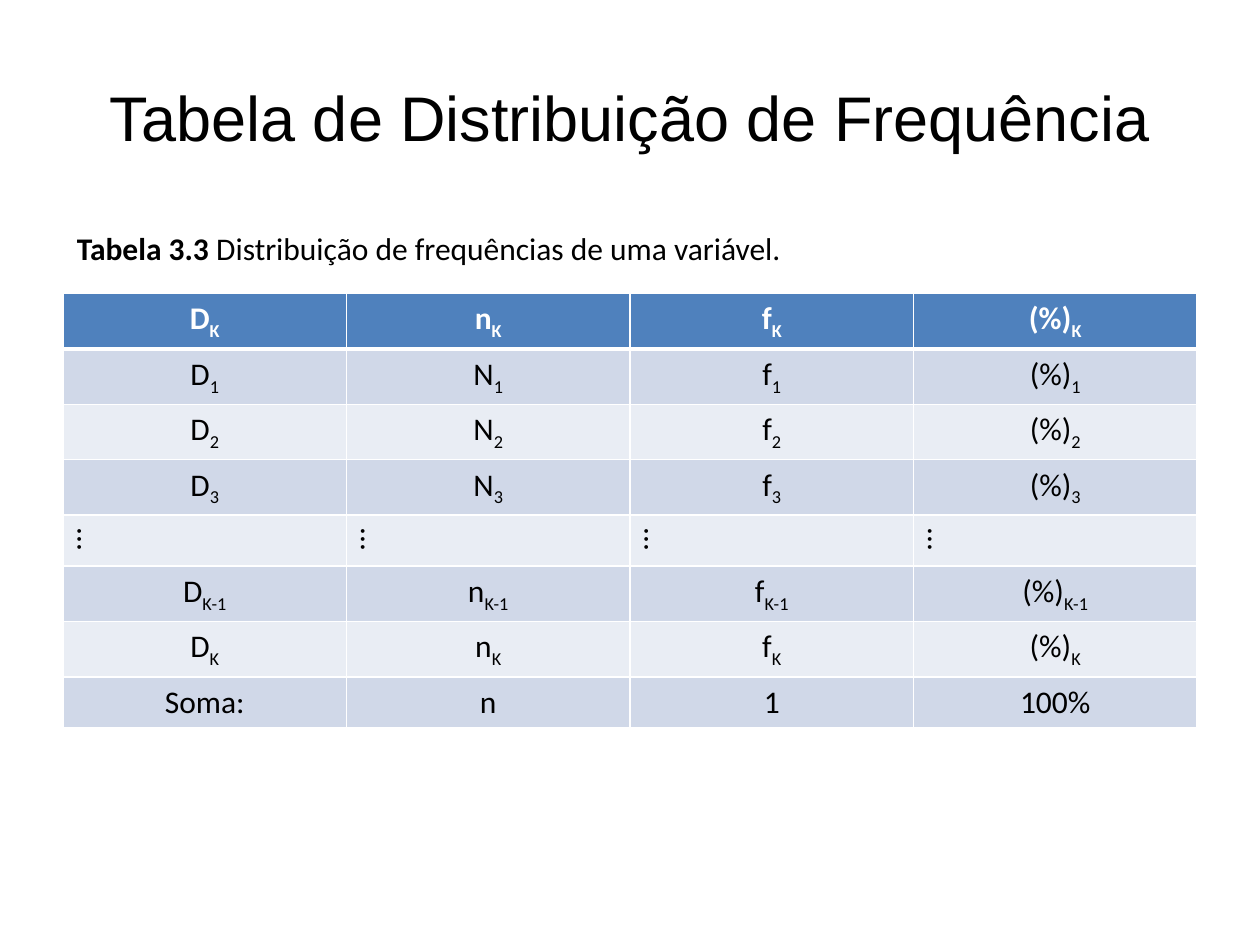
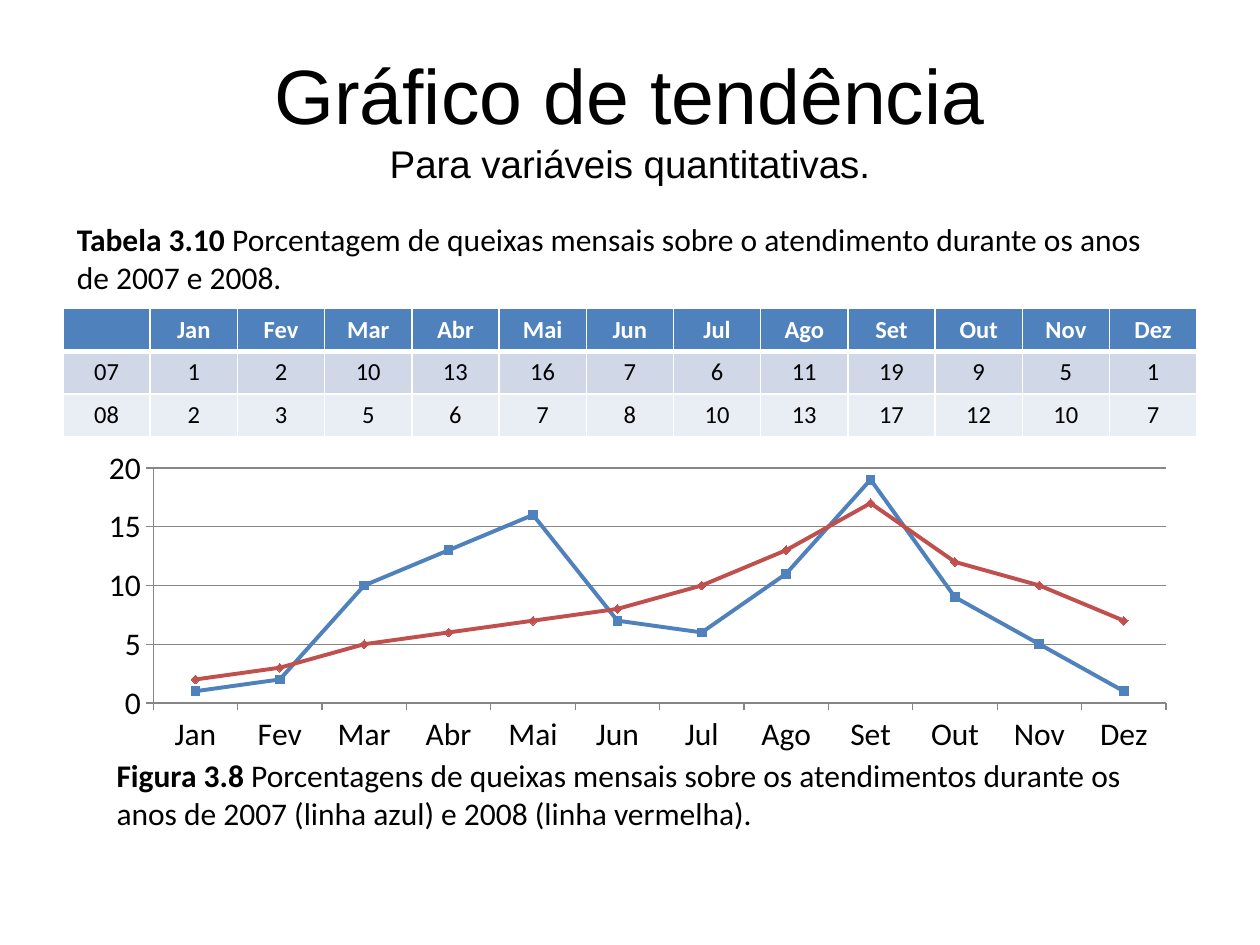
from lxml import etree
from pptx import Presentation
from pptx.chart.data import CategoryChartData
from pptx.dml.color import RGBColor
from pptx.enum.chart import XL_CHART_TYPE as CHART, XL_MARKER_STYLE as MARKER, XL_TICK_MARK as TICK
from pptx.enum.text import MSO_ANCHOR as ANCHOR, PP_ALIGN as ALIGN
from pptx.oxml.ns import qn
from pptx.util import Cm, Pt

BLACK = RGBColor(0x00, 0x00, 0x00)
WHITE = RGBColor(0xFF, 0xFF, 0xFF)
BLUE = RGBColor(0x4F, 0x81, 0xBD)
RED = RGBColor(0xC0, 0x50, 0x4D)
GRAY = RGBColor(0x86, 0x86, 0x86)
BANDS = [RGBColor(0xE9, 0xED, 0xF4), RGBColor(0xD0, 0xD8, 0xE8)]

TITLE = {"name": "Arial", "size": Pt(44)}
BODY = {"name": "Calibri", "size": Pt(18), "bold": False}
LABEL = BODY | {"bold": True}
TITLE_BOX = (1.27, 0.76, 22.86, 3.18)
LEFT, WIDTH = 1.27, 22.86


def add_run(p, text, fmt, color=BLACK):
    r = p.add_run()
    r.text = text
    for key, value in fmt.items():
        setattr(r.font, key, value)
    r.font.color.rgb = color
    return r


def add_grid(s, top, row_height, rows, size):
    """Add a banded table; "_" in a cell starts a subscript and "..." runs vertically."""
    n_rows, n_cols = len(rows), len(rows[0])
    table = s.shapes.add_table(n_rows, n_cols, Cm(LEFT), Cm(top), Cm(WIDTH),
                               Cm(row_height * n_rows)).table
    table.first_row = table.horz_banding = False
    for col in table.columns:
        col.width = Cm(WIDTH / n_cols)
    for i, row in enumerate(rows):
        header = i == 0
        fmt = BODY | {"size": size, "bold": header}
        for j, text in enumerate(row):
            cell = table.cell(i, j)
            tcPr = cell._tc.get_or_add_tcPr()
            for side in ("L", "R", "T", "B"):
                heavy = (header and side == "B") or (i == 1 and side == "T")
                ln = etree.SubElement(tcPr, qn(f"a:ln{side}"), w=str(Pt(3 if heavy else 1)))
                fill = etree.SubElement(ln, qn("a:solidFill"))
                etree.SubElement(fill, qn("a:srgbClr"), val=str(WHITE))
            cell.fill.solid()
            cell.fill.fore_color.rgb = BLUE if header else BANDS[i % 2]
            p = cell.text_frame.paragraphs[0]
            if text == "...":
                tcPr.set("vert", "vert")
                cell.vertical_anchor = ANCHOR.MIDDLE
            else:
                p.alignment = ALIGN.CENTER
            if not text:
                p._p.get_or_add_endParaRPr().set("sz", str(int(size.pt * 100)))
                continue
            base, _, sub = text.partition("_")
            color = WHITE if header else BLACK
            add_run(p, base, fmt, color)
            if sub:
                r = add_run(p, sub, fmt, color)
                r._r.get_or_add_rPr().set("baseline", "-25000")


prs = Presentation()
prs.slide_width, prs.slide_height = Cm(25.4), Cm(19.05)
frequency, trend = [prs.slides.add_slide(prs.slide_layouts[6]) for _ in range(2)]

# Frequency table
symbols = ["D", "n", "f", "(%)"]
upper = ["D", "N", "f", "(%)"]
frequency_rows = [[f"{x}_K" for x in symbols]]
frequency_rows += [[f"{x}_{k}" for x in upper] for k in (1, 2, 3)]
frequency_rows += [["..."] * 4]
frequency_rows += [[f"{x}_{k}" for x in symbols] for k in ("K-1", "K")]
frequency_rows += [["Soma:", "n", "1", "100%"]]
add_grid(frequency, 5.92, 1.03, frequency_rows, Pt(18))

# Monthly complaints: table and chart
months = ["Jan", "Fev", "Mar", "Abr", "Mai", "Jun", "Jul", "Ago", "Set", "Out", "Nov", "Dez"]
complaints = {
    "07": [1, 2, 10, 13, 16, 7, 6, 11, 19, 9, 5, 1],
    "08": [2, 3, 5, 6, 7, 8, 10, 13, 17, 12, 10, 7],
}
add_grid(trend, 6.22, 0.86,
         [["", *months]] + [[year, *map(str, values)] for year, values in complaints.items()],
         Pt(14))

data = CategoryChartData()
data.categories = months
for year, values in complaints.items():
    data.add_series(year, values)
chart = trend.shapes.add_chart(CHART.LINE_MARKERS, Cm(1.75), Cm(8.92), Cm(22.2), Cm(6.4),
                               data).chart
chart.has_legend = chart.has_title = False
chart.font.name, chart.font.size = "Calibri", Pt(18)
chart.font.color.rgb = BLACK
chart.plots[0].vary_by_categories = False
value_axis = chart.value_axis
value_axis.minimum_scale, value_axis.maximum_scale, value_axis.major_unit = 0, 20, 5
value_axis.has_major_gridlines = True
for axis in (chart.category_axis, value_axis):
    axis.major_tick_mark = TICK.OUTSIDE
for part in (chart.category_axis, value_axis, value_axis.major_gridlines):
    part.format.line.color.rgb = GRAY
    part.format.line.width = Pt(0.75)
styles = [(BLUE, MARKER.SQUARE), (RED, MARKER.DIAMOND)]
for series, (color, marker) in zip(chart.plots[0].series, styles):
    series.smooth = False
    series.format.line.color.rgb = color
    series.format.line.width = Pt(2.25)
    series.marker.style, series.marker.size = marker, 5
    series.marker.format.fill.solid()
    series.marker.format.fill.fore_color.rgb = color
    series.marker.format.line.color.rgb = color

# Titles and captions: slide, box, wrap, runs
texts = [
    (frequency, TITLE_BOX, True,
     [("Tabela de Distribuição de Frequência", TITLE | {"size": Pt(36)})]),
    (frequency, (1.3, 4.5, 14.86, 1.02), False,
     [("Tabela 3.3 ", LABEL), ("Distribuição de frequências de uma variável.", BODY)]),
    (trend, TITLE_BOX, True,
     [("Gráfico de tendência", TITLE), None,
      ("Para variáveis quantitativas.", TITLE | {"size": Pt(22)})]),
    (trend, (1.3, 4.32, 22.6, 1.8), True,
     [("Tabela 3.10 ", LABEL),
      ("Porcentagem de queixas mensais sobre o atendimento durante os anos de 2007 e 2008.", BODY)]),
    (trend, (2.1, 15.11, 21.6, 1.8), True,
     [("Figura 3.8", LABEL),
      (" Porcentagens de queixas mensais sobre os atendimentos durante os anos de 2007 "
       "(linha azul) e 2008 (linha vermelha).", BODY)]),
]
for s, box, wrap, runs in texts:
    tf = s.shapes.add_textbox(*map(Cm, box)).text_frame
    tf.word_wrap = wrap
    p = tf.paragraphs[0]
    if box == TITLE_BOX:
        tf.vertical_anchor = ANCHOR.MIDDLE
        p.alignment = ALIGN.CENTER
    for run in runs:
        if run:
            add_run(p, *run)
        else:
            p.add_line_break()

prs.save("out.pptx")
